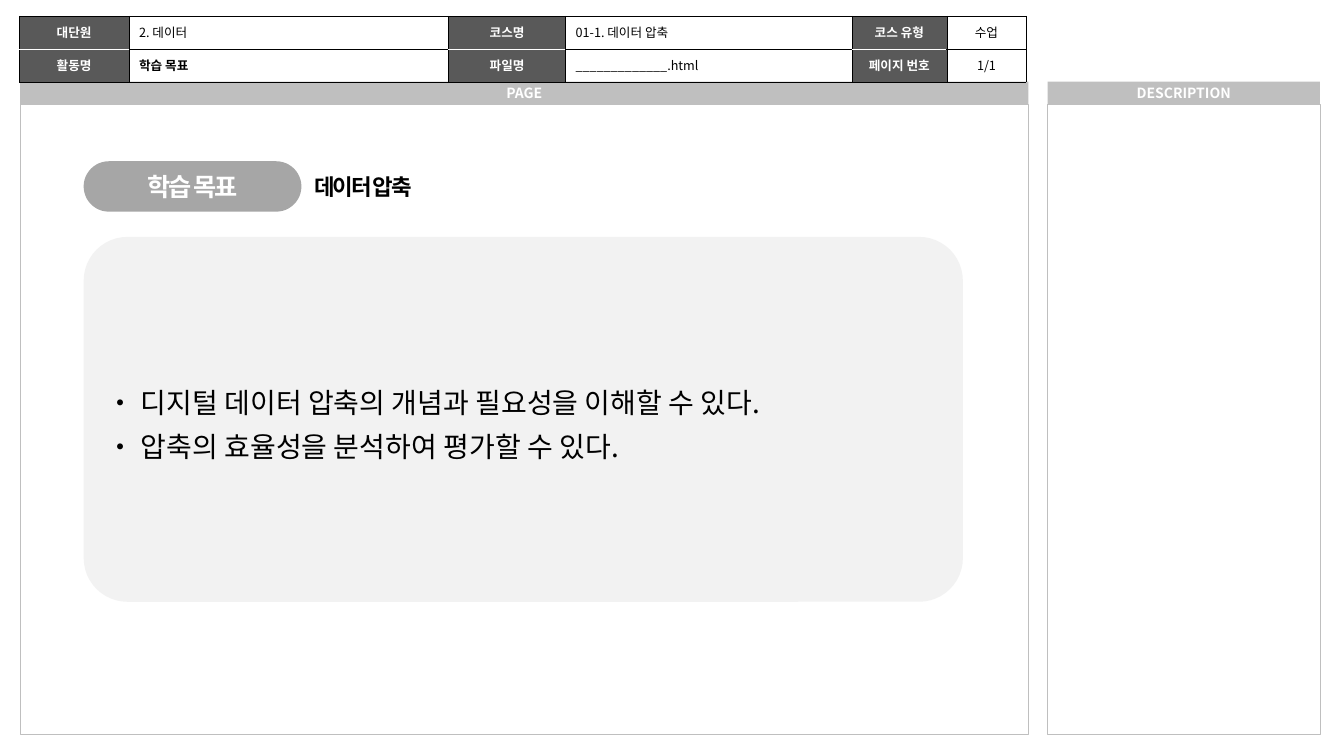
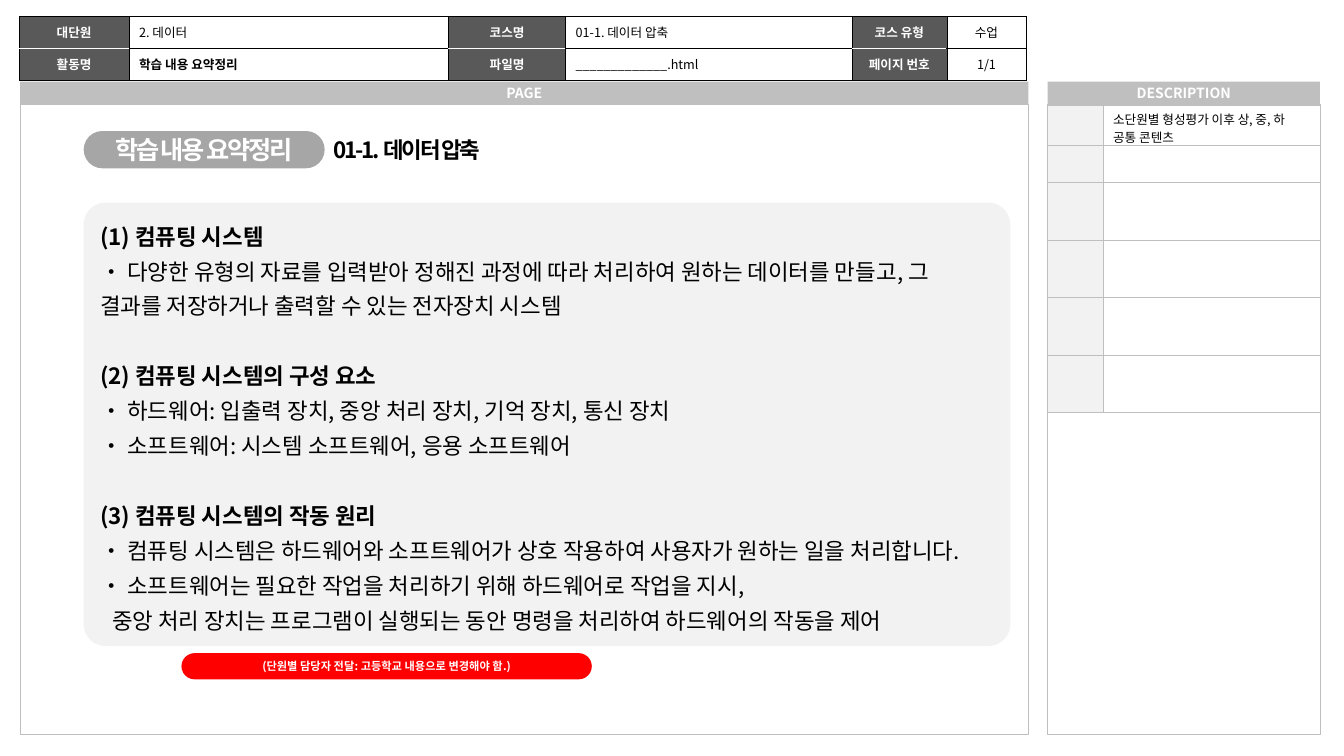
from lxml import etree
from pptx import Presentation
from pptx.dml.color import RGBColor
from pptx.enum import shapes, text
from pptx.oxml import ns
from pptx.util import Inches, Pt

FONT = "Noto Sans CJK KR"
BLACK = RGBColor(0x00, 0x00, 0x00)
WHITE = RGBColor(0xFF, 0xFF, 0xFF)
LABEL_GRAY = RGBColor(0x59, 0x59, 0x59)
BADGE_GRAY = RGBColor(0xA6, 0xA6, 0xA6)
FRAME_GRAY = RGBColor(0xBF, 0xBF, 0xBF)
PANEL_GRAY = RGBColor(0xF2, 0xF2, 0xF2)
RED = RGBColor(0xFF, 0x00, 0x00)

LEFT, CENTER = text.PP_ALIGN.LEFT, text.PP_ALIGN.CENTER
MIDDLE = text.MSO_ANCHOR.MIDDLE
HAIRLINE = Pt(0.25)
LINE_SPACING = 1.3
BULLET = "• "
NO_GRID_STYLE = "{2D5ABB26-0587-4C30-8999-92F81FD0307C}"

# Boxes are left, top, width, height in inches.
HEADER_BOX = (0.19, 0.16, 9.99, 0.57)
HEADER_COLUMNS = (1.09, 3.17, 1.16, 2.84, 0.94, 0.79)
HEADER_LABELS = (("대단원", "코스명", "코스 유형"), ("활동명", "파일명", "페이지 번호"))
PAGE_BOX = (0.2, 1.03, 10, 6.25)
DESCRIPTION_BOX = (10.39, 1.03, 2.7, 6.25)
BAND_HEIGHT = 0.22
NOTE_COLUMNS = (0.55, 2.15)
NOTE_ROWS = (0.4, 0.37, 0.57, 0.57, 0.57, 0.57)

GOALS = (
    "• 디지털 데이터 압축의 개념과 필요성을 이해할 수 있다.",
    "• 압축의 효율성을 분석하여 평가할 수 있다.",
)
SUMMARY = (
    ("(1) 컴퓨팅 시스템", (
        "• 다양한 유형의 자료를 입력받아 정해진 과정에 따라 처리하여 원하는 데이터를 만들고, "
        "그 결과를 저장하거나 출력할 수 있는 전자장치 시스템",
    )),
    ("(2) 컴퓨팅 시스템의 구성 요소", (
        "• 하드웨어: 입출력 장치, 중앙 처리 장치, 기억 장치, 통신 장치",
        "• 소프트웨어: 시스템 소프트웨어, 응용 소프트웨어",
    )),
    ("(3) 컴퓨팅 시스템의 작동 원리", (
        "• 컴퓨팅 시스템은 하드웨어와 소프트웨어가 상호 작용하여 사용자가 원하는 일을 처리합니다.",
        "• 소프트웨어는 필요한 작업을 처리하기 위해 하드웨어로 작업을 지시,",
        "중앙 처리 장치는 프로그램이 실행되는 동안 명령을 처리하여 하드웨어의 작동을 제어",
    )),
)


def inches(box):
    return [Inches(value) for value in box]


def write(para, words, size, color=BLACK, bold=False, align=LEFT, spacing=0):
    """Fill a paragraph; spacing is letter spacing in points."""
    if words.startswith(BULLET):
        para.text = BULLET
        para.add_run().text = words[len(BULLET):]
    else:
        para.text = words
    para.alignment = align
    for span in para.runs:
        span.font.size = Pt(size)
        span.font.bold = bold
        span.font.color.rgb = color
        span.font.name = FONT
        props = span.font._element
        # An East Asian font would widen the bullet to a full em.
        if span.text != BULLET:
            etree.SubElement(props, ns.qn("a:ea")).set("typeface", FONT)
        if spacing:
            props.set("spc", str(int(spacing * 100)))


def add_box(page, box, fill, rounding=0.0, line=None, kind=shapes.MSO_SHAPE.ROUNDED_RECTANGLE):
    shape = page.shapes.add_shape(kind, *inches(box))
    shape.shadow.inherit = False
    if len(shape.adjustments):
        shape.adjustments[0] = rounding
    shape.fill.solid()
    shape.fill.fore_color.rgb = fill
    if line is None:
        shape.line.fill.background()
    else:
        shape.line.color.rgb = line
        shape.line.width = HAIRLINE
    frame = shape.text_frame
    frame.word_wrap = True
    frame.vertical_anchor = MIDDLE
    return shape


def add_label(page, box, words, size, fill, rounding=0.0, spacing=0):
    """Filled bar or pill with centred white bold text."""
    frame = add_box(page, box, fill, rounding).text_frame
    frame.margin_left = frame.margin_right = Inches(0.05)
    frame.margin_top = frame.margin_bottom = 0
    write(frame.paragraphs[0], words, size, WHITE, True, CENTER, spacing)


def set_borders(cell, left, right, top, bottom):
    props = cell._tc.get_or_add_tcPr()
    for index, (side, color) in enumerate(zip("LRTB", (left, right, top, bottom))):
        line = etree.Element(ns.qn(f"a:ln{side}"), w=str(int(HAIRLINE)))
        fill = etree.SubElement(line, ns.qn("a:solidFill"))
        etree.SubElement(fill, ns.qn("a:srgbClr")).set("val", str(color))
        props.insert(index, line)


def add_grid(page, box, columns, rows):
    """Table without style, fill or borders."""
    grid = page.shapes.add_table(len(rows), len(columns), *inches(box)).table
    grid.first_row = grid.horz_banding = False
    grid._tbl.tblPr.find(ns.qn("a:tableStyleId")).text = NO_GRID_STYLE
    for column, width in zip(grid.columns, columns):
        column.width = Inches(width)
    for row, height in zip(grid.rows, rows):
        row.height = Inches(height)
    for cell in grid.iter_cells():
        cell.vertical_anchor = MIDDLE
        cell.margin_top = cell.margin_bottom = Inches(0.01)
        cell.fill.background()
    return grid


def add_header(page, box, activity):
    """Ruled label table with the page's own values in a clear table above it."""
    values = (("2. 데이터", "01-1. 데이터 압축", "수업"),
              (activity, "_____________.html", "1/1"))
    rows = [box[3] / len(values)] * len(values)
    label_grid = add_grid(page, box, HEADER_COLUMNS, rows)
    value_grid = add_grid(page, box, HEADER_COLUMNS, rows)
    for r, (labels, entries) in enumerate(zip(HEADER_LABELS, values)):
        for pair, (label, entry) in enumerate(zip(labels, entries)):
            label_cell = label_grid.cell(r, 2 * pair)
            label_cell.fill.solid()
            label_cell.fill.fore_color.rgb = LABEL_GRAY
            write(label_cell.text_frame.paragraphs[0], label, 9, WHITE, True, CENTER)
            write(value_grid.cell(r, 2 * pair + 1).text_frame.paragraphs[0], entry, 9,
                  bold=entry == activity, align=CENTER if pair == 2 else LEFT)
            for column, inner in ((2 * pair, WHITE), (2 * pair + 1, BLACK)):
                set_borders(label_grid.cell(r, column), BLACK, BLACK,
                            inner if r else BLACK, BLACK if r else inner)


def add_frame(page, box, caption):
    """Outlined area with its caption band on top."""
    left, top, width, _ = box
    add_box(page, box, WHITE, line=FRAME_GRAY, kind=shapes.MSO_SHAPE.RECTANGLE)
    add_label(page, (left, top - BAND_HEIGHT, width, BAND_HEIGHT), caption, 10, FRAME_GRAY)


def add_title(page, box, badge, topic, topic_left):
    _, top, _, height = box
    add_label(page, box, badge, 18, BADGE_GRAY, 0.5, -1.5)
    topic_box = page.shapes.add_textbox(*inches((topic_left, top, 3.3, height)))
    frame = topic_box.text_frame
    frame.word_wrap = True
    frame.vertical_anchor = MIDDLE
    write(frame.paragraphs[0], topic, 16, bold=True, spacing=-1.5)


def add_panel(page, box, rounding, lines, size):
    """Rounded panel; lines are (words, is_heading) pairs."""
    frame = add_box(page, box, PANEL_GRAY, rounding).text_frame
    for index, (words, is_heading) in enumerate(lines):
        para = frame.add_paragraph() if index else frame.paragraphs[0]
        write(para, words, size, bold=is_heading)
        para.line_spacing = LINE_SPACING
        if is_heading and index:
            para.space_before = Pt(25)
        if not is_heading and not words.startswith(BULLET):
            para._p.get_or_add_pPr().set("marL", str(Inches(0.12)))


def add_notes_grid(page, box, notes):
    left, top, width, _ = box
    grid = add_grid(page, (left, top + 0.01, width, sum(NOTE_ROWS)), NOTE_COLUMNS, NOTE_ROWS)
    for cell in grid.iter_cells():
        set_borders(cell, *[FRAME_GRAY] * 4)
    for r in range(len(NOTE_ROWS)):
        marker = grid.cell(r, 0)
        marker.fill.solid()
        marker.fill.fore_color.rgb = PANEL_GRAY
    for r, words in enumerate(notes):
        cell = grid.cell(r, 1)
        cell.margin_top, cell.margin_bottom = Inches(0.05), 0
        write(cell.text_frame.paragraphs[0], words, 9)


def add_page(deck, activity):
    page = deck.slides.add_slide(deck.slide_layouts[6])
    add_frame(page, PAGE_BOX, "PAGE")
    add_frame(page, DESCRIPTION_BOX, "DESCRIPTION")
    add_header(page, HEADER_BOX, activity)
    return page


def add_goal_page(deck):
    page = add_page(deck, "학습 목표")
    add_title(page, (0.83, 1.6, 2.16, 0.5), "학습 목표", "데이터 압축", 3.02)
    add_panel(page, (0.83, 2.35, 8.72, 3.62), 0.12, [(goal, False) for goal in GOALS], 20)


def add_summary_page(deck):
    page = add_page(deck, "학습 내용 요약정리")
    add_title(page, (0.83, 1.3, 2.39, 0.37), "학습 내용 요약정리", "01-1. 데이터 압축", 3.21)
    add_notes_grid(page, DESCRIPTION_BOX, ["소단원별 형성평가 이후 상, 중, 하 공통 콘텐츠"])
    lines = []
    for heading, points in SUMMARY:
        lines.append((heading, True))
        lines.extend((point, False) for point in points)
    add_panel(page, (0.83, 2.01, 9.19, 4.4), 0.05, lines, 16)
    add_label(page, (1.8, 6.48, 4.07, 0.26),
              "(단원별 담당자 전달: 고등학교 내용으로 변경해야 함.)", 8, RED, 0.5)


def main():
    deck = Presentation()
    deck.slide_width, deck.slide_height = Inches(13.33), Inches(7.5)
    add_goal_page(deck)
    add_summary_page(deck)
    deck.save("out.pptx")


if __name__ == "__main__":
    main()
